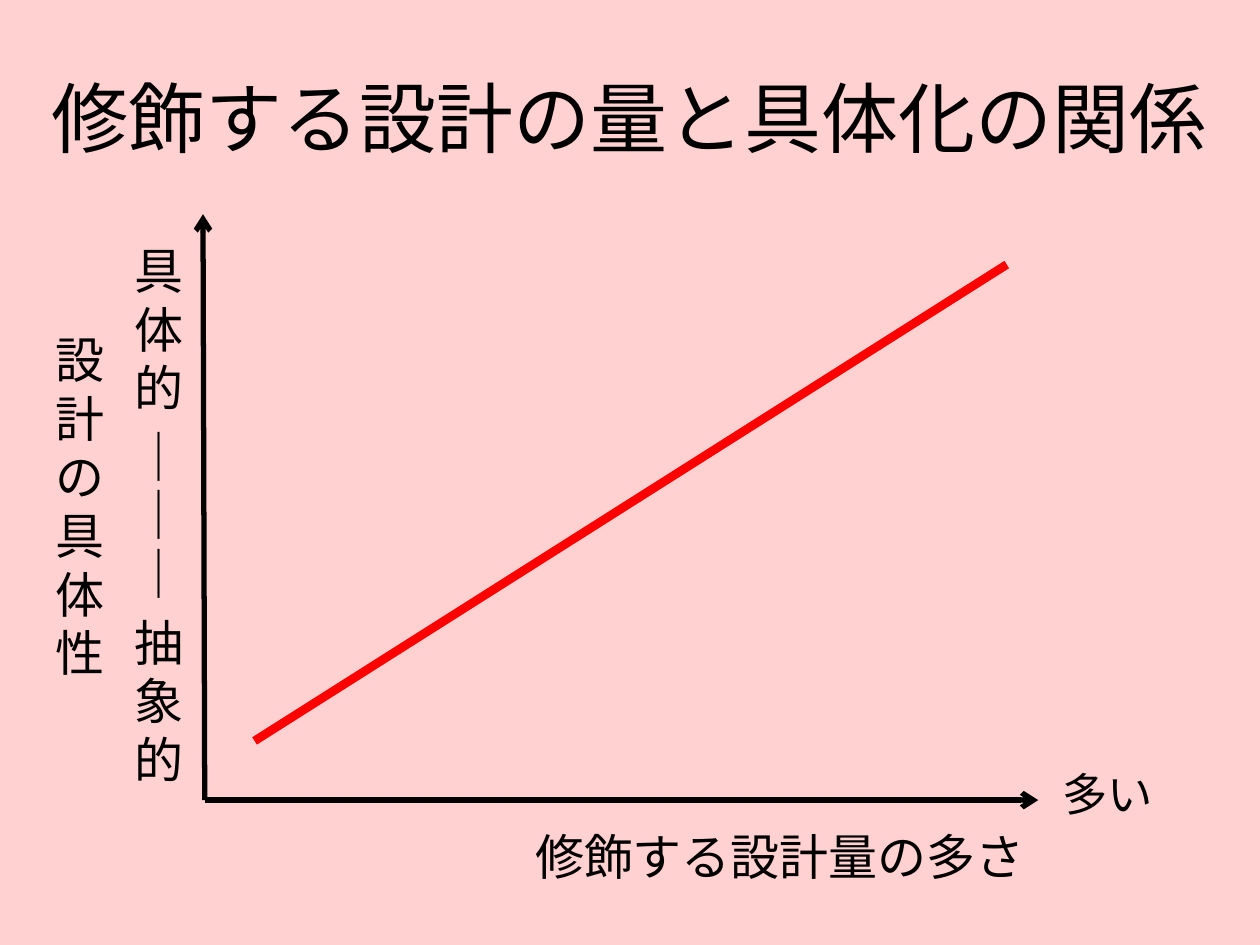
from dataclasses import dataclass

from lxml.etree import SubElement
from pptx import Presentation
from pptx.dml.color import RGBColor
from pptx.enum.lang import MSO_LANGUAGE_ID
from pptx.enum.shapes import MSO_CONNECTOR
from pptx.enum.text import MSO_ANCHOR, MSO_AUTO_SIZE, PP_ALIGN
from pptx.oxml.ns import qn
from pptx.util import Pt

TITLE = "修飾する設計の量と具体化の関係"
SCALE = ["具体的", "｜｜｜", "抽象的"]
VERTICAL_NAME = ["設計の具体性"]
HORIZONTAL_NAME = ["修飾する設計量の多さ"]
HORIZONTAL_END = ["多い"]

# Left, top, width, height in points
TITLE_BOX = (0, 21.6, 720, 90)
SCALE_BOX = (70.5, 134, 40.5, 340)
VERTICAL_NAME_BOX = (25.5, 185, 40.5, 221)
HORIZONTAL_NAME_BOX = (212.5, 468.7, 380, 45.5)
HORIZONTAL_END_BOX = (598.5, 434, 67.5, 45.5)

# Start and end points of the lines
ORIGIN = (117, 457.2)
HORIZONTAL_TIP = (593.3, 457.2)
VERTICAL_TIP = (116, 122.4)
TREND = ((145.5, 423.4), (575.3, 151.2))


@dataclass(frozen=True)
class Theme:
    """Colours, fonts and sizes of the slide."""
    background: RGBColor = RGBColor(0xFF, 0xD1, 0xD1)
    ink: RGBColor = RGBColor(0, 0, 0)
    trend: RGBColor = RGBColor(0xFF, 0, 0)
    font: str = "Calibri"
    column_font: str = "Noto Sans CJK JP"
    title_size: float = 44
    label_size: float = 28
    end_size: float = 25.9
    column_pitch: float = 33.5
    axis_width: float = 3
    trend_width: float = 5


THEME = Theme()


def place(part, box):
    """Move a part to its box."""
    part.left, part.top, part.width, part.height = map(Pt, box)


def write(part, lines, size, align, font=THEME.font, before=0.2):
    """Fill a part with one paragraph per line and return its paragraphs."""
    frame = part.text_frame
    frame.word_wrap = True
    frame.auto_size = MSO_AUTO_SIZE.NONE
    for number, line in enumerate(lines):
        paragraph = frame.add_paragraph() if number else frame.paragraphs[0]
        paragraph.alignment = align
        paragraph.space_before = Pt(round(size * before, 2))
        run = paragraph.add_run()
        run.text = line
        run.font.name = font
        run.font.size = Pt(size)
        run.font.color.rgb = THEME.ink
        run.font.language_id = MSO_LANGUAGE_ID.JAPANESE
    return frame.paragraphs


def write_column(part, box, lines):
    """Stack the characters of a narrow part one below the other."""
    place(part, box)
    frame = part.text_frame
    frame.margin_left = frame.margin_right = 0
    for paragraph in write(part, lines, THEME.label_size, PP_ALIGN.CENTER,
                           THEME.column_font):
        paragraph.line_spacing = Pt(THEME.column_pitch)
        properties = paragraph._p.get_or_add_pPr()
        properties.set("marL", "0")
        properties.set("indent", "0")
        SubElement(properties, qn("a:buNone"))
        for run in paragraph.runs:
            SubElement(run._r.get_or_add_rPr(), qn("a:ea"),
                       typeface=THEME.column_font)


def add_label(slide, box, lines, size):
    """Add a right-aligned label."""
    label = slide.shapes.add_textbox(*map(Pt, box))
    write(label, lines, size, PP_ALIGN.RIGHT)


def add_line(slide, start, end, color, width, arrow=False):
    """Draw a straight line, with an arrowhead at its end if asked."""
    line = slide.shapes.add_connector(
        MSO_CONNECTOR.STRAIGHT, *map(Pt, start + end))
    line.line.color.rgb = color
    line.line.width = Pt(width)
    if arrow:
        SubElement(line.line._get_or_add_ln(), qn("a:tailEnd"), type="arrow")
    SubElement(line._element.spPr, qn("a:effectLst"))


def build():
    """Build the slide and save it."""
    deck = Presentation()
    deck.slide_width, deck.slide_height = Pt(720), Pt(540)
    slide = deck.slides.add_slide(deck.slide_layouts[1])
    fill = slide.background.fill
    fill.solid()
    fill.fore_color.rgb = THEME.background

    title, scale = slide.placeholders
    place(title, TITLE_BOX)
    title.text_frame.vertical_anchor = MSO_ANCHOR.MIDDLE
    write(title, [TITLE], THEME.title_size, PP_ALIGN.CENTER, before=0)
    write_column(scale, SCALE_BOX, SCALE)

    for tip in (HORIZONTAL_TIP, VERTICAL_TIP):
        add_line(slide, ORIGIN, tip, THEME.ink, THEME.axis_width, arrow=True)
    add_line(slide, *TREND, THEME.trend, THEME.trend_width)

    vertical_name = slide.shapes.add_textbox(*map(Pt, VERTICAL_NAME_BOX))
    write_column(vertical_name, VERTICAL_NAME_BOX, VERTICAL_NAME)
    add_label(slide, HORIZONTAL_NAME_BOX, HORIZONTAL_NAME, THEME.label_size)
    add_label(slide, HORIZONTAL_END_BOX, HORIZONTAL_END, THEME.end_size)
    deck.save("out.pptx")


build()
